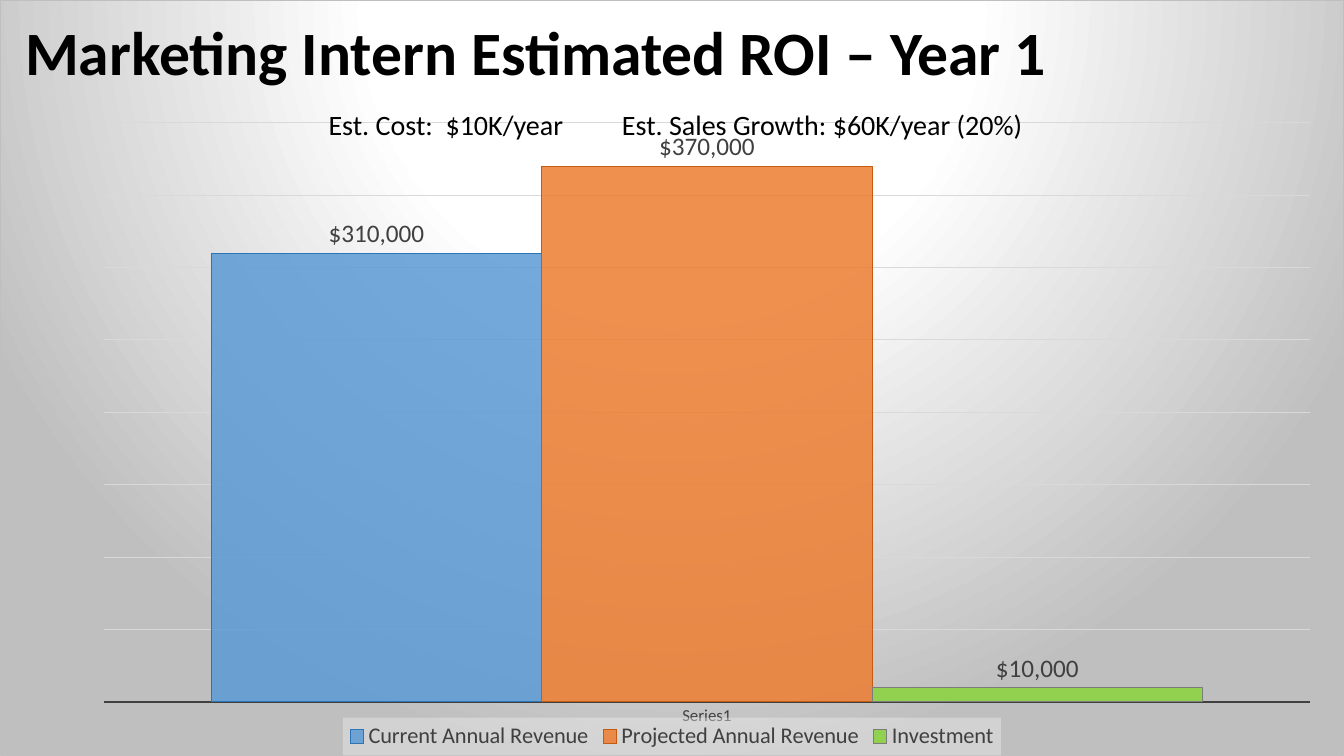
from dataclasses import dataclass

from lxml import etree
from pptx import Presentation
from pptx.chart.data import CategoryChartData
from pptx.dml.color import RGBColor
from pptx.enum.chart import XL_CHART_TYPE, XL_LABEL_POSITION, XL_LEGEND_POSITION, XL_TICK_MARK
from pptx.enum.text import MSO_ANCHOR
from pptx.oxml import parse_xml
from pptx.oxml.ns import nsdecls, qn
from pptx.util import Inches, Pt

COLUMNS = XL_CHART_TYPE.COLUMN_CLUSTERED
OUTSIDE_END = XL_LABEL_POSITION.OUTSIDE_END
LEGEND_BOTTOM = XL_LEGEND_POSITION.BOTTOM
NO_TICK = XL_TICK_MARK.NONE
TOP, MIDDLE = MSO_ANCHOR.TOP, MSO_ANCHOR.MIDDLE


@dataclass(frozen=True)
class Theme:
    """Colours, font and type sizes of the slide."""
    font: str = "Calibri"
    text: str = "000000"
    muted: str = "404040"
    grid: str = "D9D9D9"
    edge: str = "BFBFBF"
    center: str = "FFFFFF"
    legend: str = "F2F2F2"
    title_size: int = 44
    note_size: int = 20
    label_size: int = 18
    legend_size: int = 16
    axis_size: int = 12
    base_size: int = 10
    hairline: float = 0.75
    axis_line: float = 1.5


@dataclass(frozen=True)
class Bar:
    """One column of the chart with its style."""
    name: str
    value: int
    fill: str
    line: str
    opacity: int = 100


BARS = [
    Bar("Current Annual Revenue", 310000, "5B9BD5", "2E75B6", 85),
    Bar("Projected Annual Revenue", 370000, "ED7D31", "C55A11", 85),
    Bar("Investment", 10000, "92D050", "7C7C7C"),
]


class SlideBuilder:
    """Draws styled elements on the current slide."""

    def __init__(self, slide, theme):
        self.slide = slide
        self.theme = theme

    def style_font(self, font, size, color, bold=False):
        """Apply the theme font with a size and colour."""
        font.name = self.theme.font
        font.size = Pt(size)
        font.bold = bold
        font.color.rgb = RGBColor.from_string(color)

    def style_line(self, line, color, width):
        """Apply a solid line."""
        line.color.rgb = RGBColor.from_string(color)
        line.width = Pt(width)

    def set_layout(self, parent, position, box, inner=False):
        """Place a chart part by fractions of the chart."""
        for previous in parent.findall(qn("c:layout")):
            parent.remove(previous)
        layout = parse_xml(f"<c:layout {nsdecls('c')}><c:manualLayout/></c:layout>")
        settings = [("layoutTarget", "inner")] if inner else []
        settings += [("xMode", "edge"), ("yMode", "edge"), *zip("xywh", box)]
        for tag, value in settings:
            etree.SubElement(layout[0], qn(f"c:{tag}")).set("val", str(value))
        parent.insert(position, layout)

    def add_text(self, text, left, top, width, height, size,
                 bold=False, anchor=TOP, wrap=True, spacing=1.0):
        """Add a one-paragraph text box."""
        shape = self.slide.shapes.add_textbox(
            Inches(left), Inches(top), Inches(width), Inches(height))
        frame = shape.text_frame
        frame.word_wrap = wrap
        frame.vertical_anchor = anchor
        paragraph = frame.paragraphs[0]
        paragraph.text = text
        paragraph.line_spacing = spacing
        self.style_font(paragraph.font, size, self.theme.text, bold)

    def add_column_chart(self, category, bars, width, height):
        """Add the full-slide column chart."""
        data = CategoryChartData(number_format='"$"#,##0')
        data.categories = [category]
        for bar in bars:
            data.add_series(bar.name, [bar.value])
        chart = self.slide.shapes.add_chart(
            COLUMNS, 0, 0, Inches(width), Inches(height), data).chart
        chart.has_title = False
        self.style_font(chart.font, self.theme.base_size, self.theme.text)
        plot = chart.plots[0]
        plot.gap_width = 65
        plot.overlap = 0
        plot.vary_by_categories = False
        self.set_layout(chart.element.find(f".//{qn('c:plotArea')}"), 0,
                        (0.077, 0.162, 0.898, 0.767), inner=True)
        self.style_columns(chart, bars)
        self.style_axes(chart)
        self.style_legend(chart)
        self.style_background(chart)

    def style_columns(self, chart, bars):
        """Colour and label each column."""
        elements = chart.element.iter(qn("c:ser"))
        for series, element, bar in zip(chart.plots[0].series, elements, bars):
            series.invert_if_negative = False
            series.format.fill.solid()
            series.format.fill.fore_color.rgb = RGBColor.from_string(bar.fill)
            self.style_line(series.format.line, bar.line, self.theme.hairline)
            if bar.opacity < 100:
                color = element.find(f"{qn('c:spPr')}/{qn('a:solidFill')}/{qn('a:srgbClr')}")
                etree.SubElement(color, qn("a:alpha")).set("val", str(bar.opacity * 1000))
            labels = series.data_labels
            labels.show_value = True
            labels.number_format = '"$"#,##0'
            labels.number_format_is_linked = False
            labels.position = OUTSIDE_END
            self.style_font(labels.font, self.theme.label_size, self.theme.muted)

    def style_axes(self, chart):
        """Style the category axis and hide the value axis."""
        axis = chart.category_axis
        axis.major_tick_mark = NO_TICK
        axis.minor_tick_mark = NO_TICK
        self.style_font(axis.tick_labels.font, self.theme.axis_size, self.theme.muted)
        self.style_line(axis.format.line, self.theme.muted, self.theme.axis_line)
        values = chart.value_axis
        values.minimum_scale = 0
        values.maximum_scale = 400000
        values.major_unit = 50000
        values.has_major_gridlines = True
        self.style_line(values.major_gridlines.format.line, self.theme.grid, self.theme.hairline)
        values.visible = False

    def style_legend(self, chart):
        """Put a translucent legend at the bottom edge."""
        chart.has_legend = True
        legend = chart.legend
        legend.position = LEGEND_BOTTOM
        legend.include_in_layout = False
        self.style_font(legend.font, self.theme.legend_size, self.theme.muted)
        element = chart.element.find(f".//{qn('c:legend')}")
        self.set_layout(element, 1, (0.255, 0.95, 0.49, 0.05))
        element.find(qn("c:overlay")).addnext(parse_xml(
            f'<c:spPr {nsdecls("c", "a")}><a:solidFill><a:srgbClr val="{self.theme.legend}">'
            '<a:alpha val="39000"/></a:srgbClr></a:solidFill></c:spPr>'))

    def style_background(self, chart):
        """Fill the chart area with a radial gradient and a border."""
        theme = self.theme
        colors = [(0, theme.center), (39, theme.center), (100, theme.edge)]
        stops = "".join(f'<a:gs pos="{position * 1000}"><a:srgbClr val="{color}"/></a:gs>'
                        for position, color in colors)
        chart.element.find(qn("c:chart")).addnext(parse_xml(
            f'<c:spPr {nsdecls("c", "a")}><a:gradFill><a:gsLst>{stops}</a:gsLst>'
            '<a:path path="circle"><a:fillToRect l="50000" t="-80000" r="50000" b="180000"/>'
            f'</a:path></a:gradFill><a:ln w="{Pt(theme.hairline)}"><a:solidFill>'
            f'<a:srgbClr val="{theme.edge}"/></a:solidFill></a:ln></c:spPr>'))


def main():
    """Build and save the slide."""
    theme = Theme()
    presentation = Presentation()
    presentation.slide_width = Inches(13.33)
    presentation.slide_height = Inches(7.5)
    slide = presentation.slides.add_slide(presentation.slide_layouts[6])
    builder = SlideBuilder(slide, theme)
    builder.add_column_chart("Series1", BARS, 13.33, 7.5)
    builder.add_text("Marketing Intern Estimated ROI – Year 1", 0.15, 0.06, 11.5, 0.98,
                     theme.title_size, bold=True, anchor=MIDDLE, spacing=0.9)
    builder.add_text("Est. Cost:  $10K/year", 3.16, 1.02, 3.51, 0.44, theme.note_size)
    builder.add_text("Est. Sales Growth: $60K/year (20%)", 6.07, 1.02, 4.21, 0.44,
                     theme.note_size, wrap=False)
    presentation.save("out.pptx")


main()
